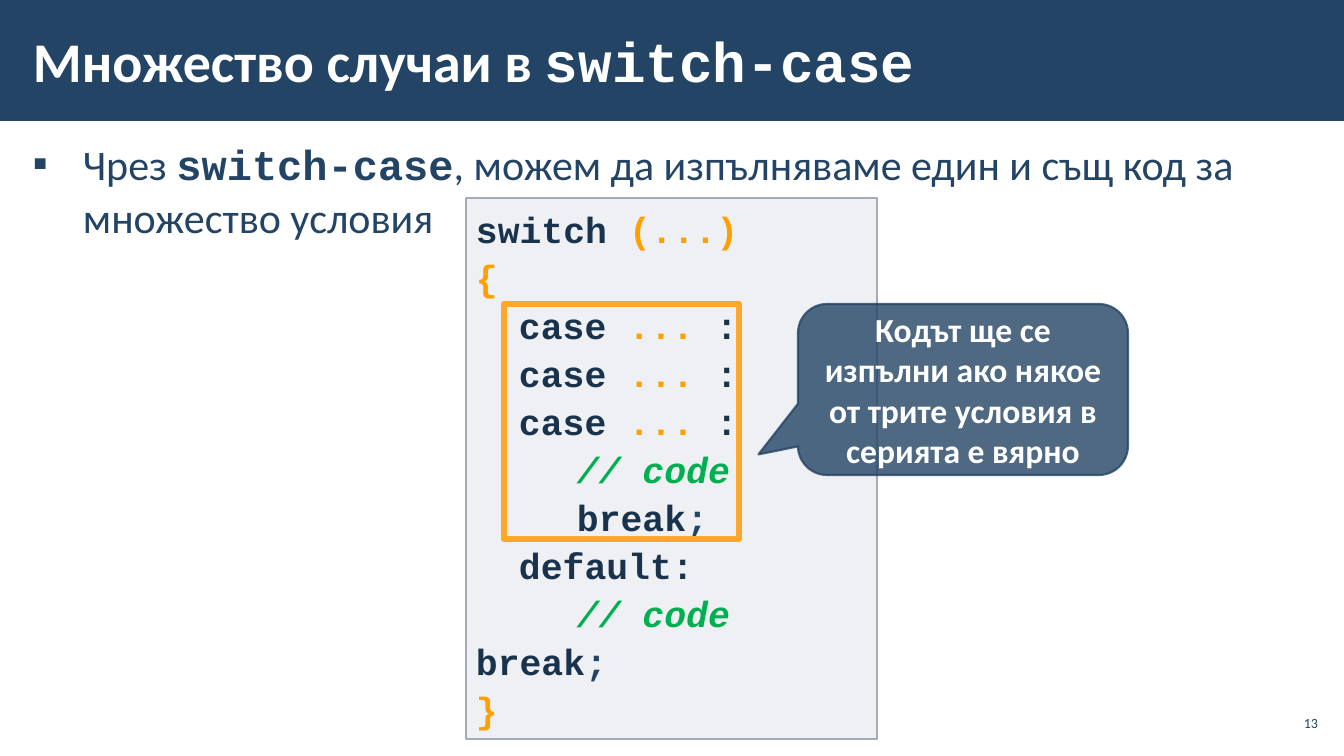
"""Build a slide on sharing code between several cases of a switch."""
from lxml import etree
from pptx import Presentation
from pptx.dml.color import RGBColor
from pptx.enum.shapes import MSO_SHAPE as SHAPE
from pptx.enum.text import MSO_ANCHOR as ANCHOR, PP_ALIGN as ALIGN
from pptx.oxml.ns import qn
from pptx.util import Pt

PX = 914400 / 100.8
NAVY, INK, ORANGE, GREEN, WHITE = "234465", "1A334C", "FFA000", "00B050", "FFFFFF"
SANS, MONO = "Calibri", "Courier New"

prs = Presentation()
prs.slide_width, prs.slide_height = round(1344 * PX), round(756 * PX)
s = prs.slides.add_slide(prs.slide_layouts[6])


def add_box(kind, box, fill=None, line=None, width=1, alpha=100, line_alpha=100,
            margins=(10, 5), anchor=ANCHOR.TOP):
    sp = s.shapes.add_shape(kind, *[round(v * PX) for v in box])
    sp.shadow.inherit = False
    for part, color, opacity in ((sp.fill, fill, alpha), (sp.line.fill, line, line_alpha)):
        if color is None:
            part.background()
            continue
        part.solid()
        part.fore_color.rgb = RGBColor.from_string(color)
        if opacity < 100:
            clr = part._xPr.find(".//" + qn("a:srgbClr"))
            etree.SubElement(clr, qn("a:alpha"), val=str(opacity * 1000))
    if line:
        sp.line.width = Pt(width)
    tf = sp.text_frame
    tf.word_wrap = True
    tf.vertical_anchor = anchor
    tf.margin_left = tf.margin_right = round(margins[0] * PX)
    tf.margin_top = tf.margin_bottom = round(margins[1] * PX)
    tf.paragraphs[0].alignment = ALIGN.LEFT
    return sp


def add_run(p, text, size, color, font=SANS, bold=False, italic=False):
    r = p.add_run()
    r.text = text
    r.font.name, r.font.size = font, Pt(size)
    r.font.bold, r.font.italic = bold, italic
    r.font.color.rgb = RGBColor.from_string(color)


add_box(SHAPE.RECTANGLE, (0, 0, 1344, 121), NAVY)

body = add_box(SHAPE.RECTANGLE, (21, 132, 1302, 574), margins=(12, 4))
p = body.text_frame.paragraphs[0]
p.line_spacing = 1.05
p.space_before = p.space_after = Pt(6)
pPr = p._p.get_or_add_pPr()
pPr.set("marL", str(round(50 * PX)))
pPr.set("indent", str(round(-50 * PX)))
etree.SubElement(pPr, qn("a:buFont"), typeface=SANS)
etree.SubElement(pPr, qn("a:buChar"), char="▪")
add_run(p, "Чрез ", 30, NAVY)
add_run(p, "switch-case", 30, NAVY, MONO, bold=True)
add_run(p, ", можем да изпълняваме един и същ код за ", 30, NAVY)
p.add_line_break()
add_run(p, "множество условия", 30, NAVY)

title = add_box(SHAPE.RECTANGLE, (21, 11, 1047, 98), margins=(12, 4), anchor=ANCHOR.MIDDLE)
p = title.text_frame.paragraphs[0]
add_run(p, "Множество случаи в ", 40, WHITE, bold=True)
add_run(p, "switch-case", 40, WHITE, MONO, bold=True)

number = add_box(SHAPE.RECTANGLE, (1275, 706, 47, 34), margins=(4, 4), anchor=ANCHOR.MIDDLE)
p = number.text_frame.paragraphs[0]
p.alignment = ALIGN.RIGHT
add_run(p, "13", 10, NAVY)

case = (43, [("case ", INK), ("... ", ORANGE), (":", INK)])
comment = (101, [("// code", GREEN)])
stop = [("break", INK), (";", NAVY)]
code_lines = [
    (0, [("switch ", INK), ("(...)", ORANGE)]),
    (0, [("{", ORANGE)]),
    case, case, case,
    comment,
    (101, stop),
    (43, [("default:", INK)]),
    comment,
    (0, stop),
    (0, [("}", ORANGE)]),
]
code = add_box(SHAPE.RECTANGLE, (466, 198, 411, 541), "C2C7D2", "A3ABBC", alpha=25)
tf = code.text_frame
for i, (indent, runs) in enumerate(code_lines):
    p = tf.add_paragraph() if i else tf.paragraphs[0]
    p.alignment = ALIGN.LEFT
    p.line_spacing = 1.1
    p._p.get_or_add_pPr().set("marL", str(round(indent * PX)))
    for text, color in runs:
        add_run(p, text, 26, color, MONO, bold=True, italic=color == GREEN)

add_box(SHAPE.RECTANGLE, (504, 304, 235, 235), line="FFA72A", width=4.5)

callout = add_box(SHAPE.ROUNDED_RECTANGULAR_CALLOUT, (798, 304, 330, 171), NAVY, NAVY,
                  width=1.5, alpha=80, line_alpha=80, anchor=ANCHOR.MIDDLE)
for i, value in enumerate((-0.62, 0.38, 0.17)):
    callout.adjustments[i] = value
p = callout.text_frame.paragraphs[0]
p.alignment = ALIGN.CENTER
add_run(p, "Кодът ще се изпълни ако някое от трите условия в серията е вярно", 24, WHITE, bold=True)

prs.save("out.pptx")
